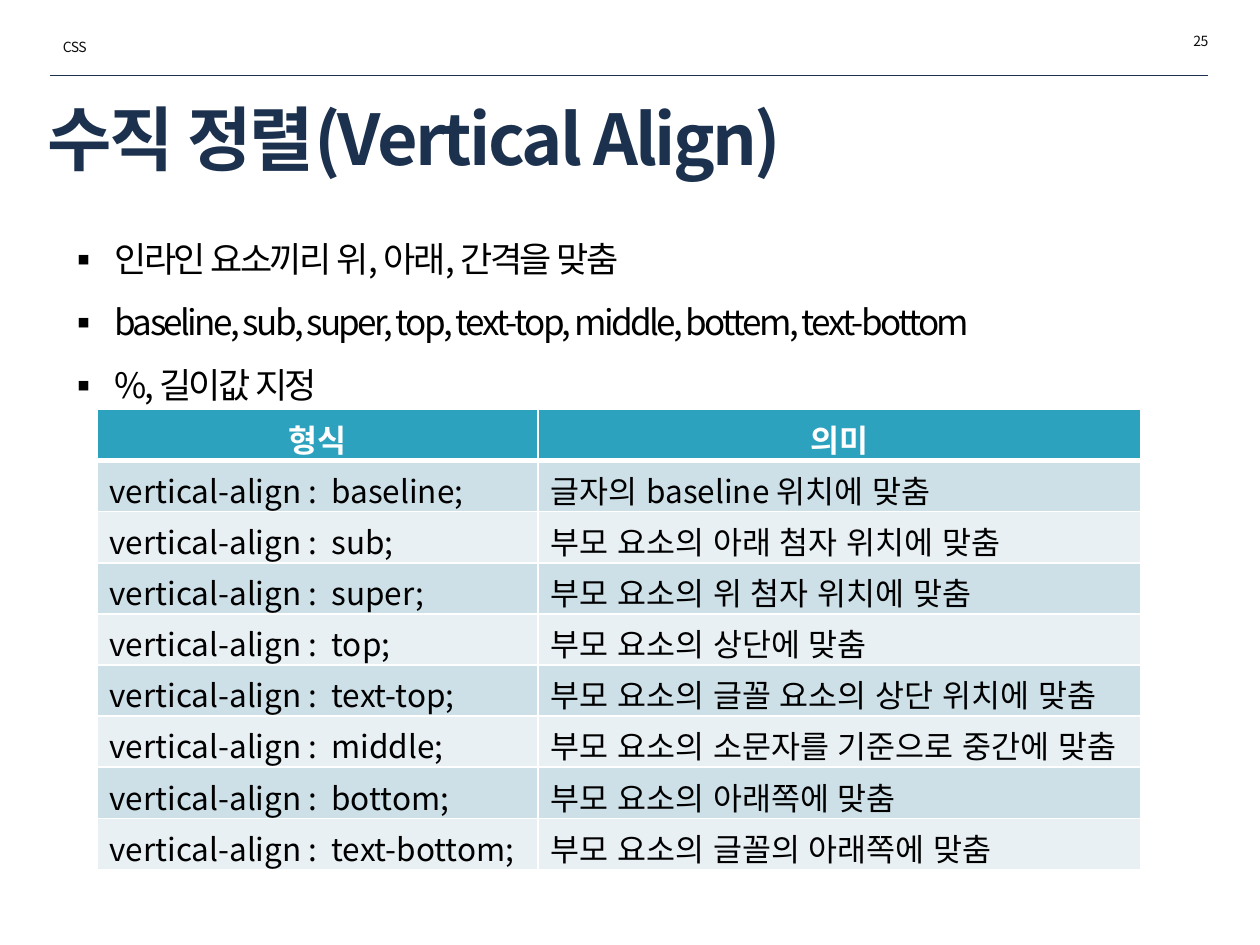
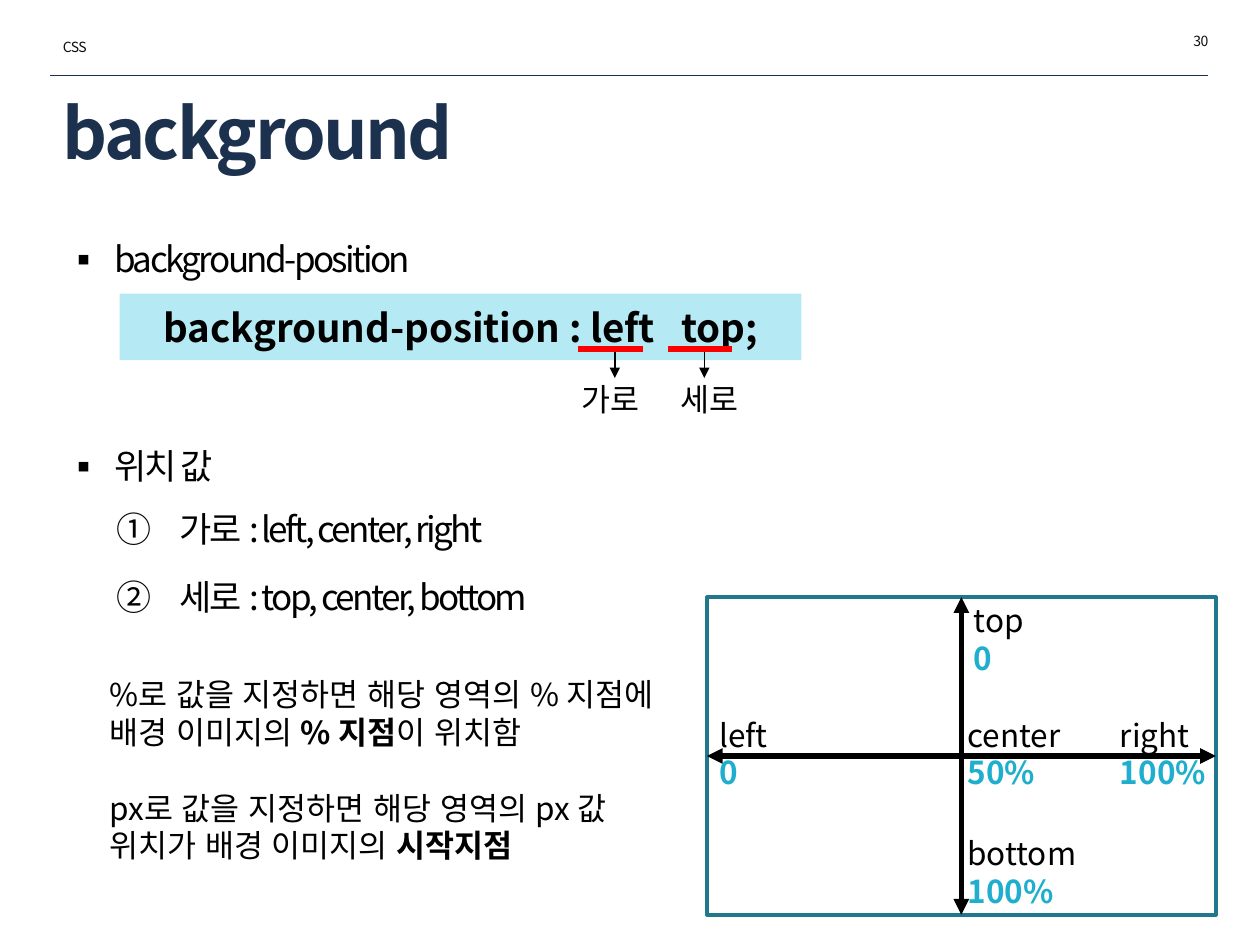
from dataclasses import dataclass
from itertools import product

from lxml.etree import SubElement
from pptx import Presentation
from pptx.dml.color import RGBColor
from pptx.enum.lang import MSO_LANGUAGE_ID as Language
from pptx.enum.shapes import MSO_CONNECTOR as Connector, MSO_SHAPE as Preset
from pptx.enum.text import MSO_ANCHOR as Anchor, PP_ALIGN as Align
from pptx.oxml import parse_xml
from pptx.oxml.ns import nsdecls, qn
from pptx.util import Inches, Pt

COLORS = {
    "navy": "1C314E", "ink": "0D0D0D", "black": "000000", "white": "FFFFFF",
    "header": "2DA2BF", "band_dark": "CDE0E8", "band_light": "E8F0F4",
    "code": "B5E9F4", "red": "FF0000", "frame": "21788D", "value": "1FAECD",
}
FONT = "Noto Sans CJK KR"

# The slide is a grid of 100 columns by 75 rows
COLUMNS, ROWS = 100, 75
WIDTH, HEIGHT = Inches(10), Inches(7.5)


@dataclass(frozen=True)
class Box:
    column: float
    row: float
    columns: float
    rows: float

    def lengths(self) -> tuple:
        return (x_at(self.column), y_at(self.row), x_at(self.columns), y_at(self.rows))


@dataclass(frozen=True)
class Style:
    size: float = 18
    color: str = "black"
    bold: bool = False
    tracking: int = 0  # hundredths of a point


@dataclass(frozen=True)
class Piece:
    text: str
    style: Style = Style()


@dataclass(frozen=True)
class Line:
    start: tuple
    end: tuple
    color: str = "black"
    width: float = 3
    arrows: tuple = ()


@dataclass(frozen=True)
class AxisLabel:
    name: str
    value: str
    box: Box


TITLE = Style(40, "navy", True, -150)
SMALL = Style(8, "ink", tracking=-30)
BULLET = Style(20, tracking=-150)
BODY = Style()
STRONG = Style(bold=True)
CODE = Style(22, bold=True)
VALUE = Style(color="value", bold=True)
TABLE_HEADER = Style(color="white", bold=True)


def x_at(columns: float) -> int:
    return round(WIDTH * columns / COLUMNS)


def y_at(rows: float) -> int:
    return round(HEIGHT * rows / ROWS)


def rgb(name: str) -> RGBColor:
    return RGBColor.from_string(COLORS[name])


# Text
def add_piece(paragraph, piece: Piece) -> None:
    run = paragraph.add_run()
    run.text = piece.text
    style, font = piece.style, run.font
    font.size, font.bold, font.name = Pt(style.size), style.bold, FONT
    font.color.rgb = rgb(style.color)
    font.language_id = Language.KOREAN
    properties = run._r.get_or_add_rPr()
    SubElement(properties, qn("a:ea")).set("typeface", FONT)
    if style.tracking:
        properties.set("spc", str(style.tracking))


def fill_text(frame, paragraphs: list, align=Align.LEFT, anchor=Anchor.TOP) -> None:
    frame.word_wrap = True
    frame.vertical_anchor = anchor
    for index, pieces in enumerate(paragraphs):
        paragraph = frame.add_paragraph() if index else frame.paragraphs[0]
        paragraph.alignment = align
        for piece in pieces:
            add_piece(paragraph, piece)


def add_text(shapes, box: Box, paragraphs: list, **layout):
    frame = shapes.add_textbox(*box.lengths()).text_frame
    fill_text(frame, paragraphs, **layout)
    return frame


def mark_item(paragraph, numbered: bool) -> None:
    paragraph.line_spacing = 1.5
    if numbered:
        paragraph.level = 1
        paragraph.space_after = Pt(3)
    margin, indent = (0.93, -0.5) if numbered else (0.41, -0.38)
    properties = paragraph._p.get_or_add_pPr()
    properties.set("marL", str(Inches(margin)))
    properties.set("indent", str(Inches(indent)))
    color = SubElement(properties, qn("a:buClr"))
    SubElement(color, qn("a:srgbClr")).set("val", COLORS["black"])
    if numbered:
        SubElement(properties, qn("a:buAutoNum")).set("type", "circleNumDbPlain")
    else:
        SubElement(properties, qn("a:buFont")).set("typeface", FONT)
        SubElement(properties, qn("a:buChar")).set("char", "▪")


def add_list(slide, row: float, rows: float, bullets: list, numbers: tuple = ()) -> None:
    items = [[Piece(text, BULLET)] for text in (*bullets, *numbers)]
    frame = add_text(slide.shapes, Box(4, row, 91.9, rows), items)
    for index, paragraph in enumerate(frame.paragraphs):
        mark_item(paragraph, index >= len(bullets))


# Lines and shapes
def add_line(shapes, line: Line) -> None:
    (x1, y1), (x2, y2) = line.start, line.end
    connector = shapes.add_connector(
        Connector.STRAIGHT, x_at(x1), y_at(y1), x_at(x2), y_at(y2))
    connector.line.color.rgb = rgb(line.color)
    connector.line.width = Pt(line.width)
    properties = connector.element.spPr
    for end in line.arrows:
        SubElement(properties.find(qn("a:ln")), qn(f"a:{end}")).set("type", "triangle")
    SubElement(properties, qn("a:effectLst"))


def add_rectangle(shapes, box: Box, fill: str = "", outline: str = ""):
    shape = shapes.add_shape(Preset.RECTANGLE, *box.lengths())
    shape.shadow.inherit = False
    if fill:
        shape.fill.solid()
        shape.fill.fore_color.rgb = rgb(fill)
    else:
        shape.fill.background()
    if outline:
        shape.line.color.rgb = rgb(outline)
        shape.line.width = Pt(2)
    else:
        shape.line.fill.background()
    return shape


# Table
def style_cell(cell, fill: str, top: float, bottom: float) -> None:
    cell.fill.solid()
    cell.fill.fore_color.rgb = rgb(fill)
    properties = cell._tc.get_or_add_tcPr()
    widths = {"lnL": 1, "lnR": 1, "lnT": top, "lnB": bottom}
    for index, (side, width) in enumerate(widths.items()):
        properties.insert(index, parse_xml(
            f'<a:{side} {nsdecls("a")} w="{Pt(width)}"><a:solidFill>'
            f'<a:srgbClr val="{COLORS["white"]}"/></a:solidFill></a:{side}>'))


def add_meaning_table(slide, box: Box, widths: tuple, rows: list) -> None:
    table = slide.shapes.add_table(len(rows), len(widths), *box.lengths()).table
    for column, width in zip(table.columns, widths):
        column.width = x_at(width)
    for row in table.rows:
        row.height = y_at(box.rows / len(rows))
    for row, column in product(range(len(rows)), range(len(widths))):
        cell, header = table.cell(row, column), row == 0
        fill = "header" if header else "band_dark" if row % 2 else "band_light"
        style_cell(cell, fill, top=3 if row == 1 else 1, bottom=3 if header else 1)
        fill_text(cell.text_frame,
                  [[Piece(rows[row][column], TABLE_HEADER if header else BODY)]],
                  align=Align.CENTER if header else Align.LEFT)


# Shared page furniture
def add_page(presentation, title: str, title_box: Box, number: int):
    slide = presentation.slides.add_slide(presentation.slide_layouts[6])
    add_line(slide.shapes, Line((4, 6), (95.9, 6), "navy", 0.25))
    add_text(slide.shapes, title_box, [[Piece(title, TITLE)]], anchor=Anchor.MIDDLE)
    add_text(slide.shapes, Box(79.6, 2.1, 17.3, 2.4), [[Piece(str(number), SMALL)]],
             align=Align.RIGHT)
    add_text(slide.shapes, Box(4, 2.6, 17.3, 2.4), [[Piece("CSS", SMALL)]])
    return slide


def build_vertical_align(presentation) -> None:
    slide = add_page(presentation, "수직 정렬(Vertical Align)", Box(2.8, 7.7, 92.6, 6.4), 25)
    add_list(slide, 16.7, 18.5, [
        "인라인 요소끼리 위, 아래, 간격을 맞춤",
        "baseline, sub, super, top, text-top, middle, bottem, text-bottom",
        "%, 길이값 지정",
    ])
    meanings = {
        "baseline": "글자의 baseline 위치에 맞춤",
        "sub": "부모 요소의 아래 첨자 위치에 맞춤",
        "super": "부모 요소의 위 첨자 위치에 맞춤",
        "top": "부모 요소의 상단에 맞춤",
        "text-top": "부모 요소의 글꼴 요소의 상단 위치에 맞춤",
        "middle": "부모 요소의 소문자를 기준으로 중간에 맞춤",
        "bottom": "부모 요소의 아래쪽에 맞춤",
        "text-bottom": "부모 요소의 글꼴의 아래쪽에 맞춤",
    }
    rows = [(f"vertical-align :  {value};", text) for value, text in meanings.items()]
    add_meaning_table(slide, Box(7.7, 32.5, 82.8, 36.5), (35, 47.8),
                      [("형식", "의미"), *rows])


def add_position_diagram(slide, frame: Box) -> None:
    shapes = slide.shapes.add_group_shape().shapes
    add_rectangle(shapes, frame, outline="frame")
    right, bottom = frame.column + frame.columns, frame.row + frame.rows
    center, middle = frame.column + frame.columns / 2, frame.row + frame.rows / 2
    both = ("headEnd", "tailEnd")
    add_line(shapes, Line((center, frame.row), (center, bottom), arrows=both))
    add_line(shapes, Line((frame.column, middle), (right, middle), arrows=both))
    label_row = 56.3
    labels = [
        AxisLabel("top", "0", Box(76.3, 47.2, 8, 7.1)),
        AxisLabel("right", "100%", Box(87.9, label_row, 9, 7.1)),
        AxisLabel("left", "0", Box(frame.column, label_row, 9, 7.1)),
        AxisLabel("center", "50%", Box(75.8, label_row, 9.8, 7.1)),
        AxisLabel("bottom", "100%", Box(75.8, 65.7, 12.1, 7.1)),
    ]
    for label in labels:
        add_text(shapes, label.box, [[Piece(label.name)], [Piece(label.value, VALUE)]])


def build_background(presentation) -> None:
    slide = add_page(presentation, "background", Box(4, 7.2, 91.5, 6.4), 30)

    # Declaration with its two values pointed out
    declaration = add_rectangle(slide.shapes, Box(9.5, 23.3, 54.1, 5.3), fill="code")
    fill_text(declaration.text_frame,
              [[Piece("background-position : left   top;", CODE)]],
              align=Align.CENTER, anchor=Anchor.MIDDLE)
    for name, label_left, underline, arrow in (("가로", 45.2, 45.9, 48.8),
                                               ("세로", 53, 53, 55.9)):
        add_text(slide.shapes, Box(label_left, 29.7, 7.7, 4), [[Piece(name)]])
        add_line(slide.shapes, Line((arrow, 27.7), (arrow, 30), width=0.75,
                                    arrows=("tailEnd",)))
        add_line(slide.shapes, Line((underline, 27.7), (underline + 5.1, 27.7), "red"))

    add_list(slide, 16.7, 6.1, ["background-position"])
    add_list(slide, 33.1, 18.1, ["위치 값"],
             ("가로 : left, center, right", "세로 : top, center, bottom"))
    add_position_diagram(slide, Box(56.1, 47.4, 40.4, 25.2))

    # Units
    units = add_text(slide.shapes, Box(7.7, 53.1, 47.3, 16.2), [
        [Piece("%로 값을 지정하면 해당 영역의 % 지점에 배경 이미지의 "),
         Piece("% 지점", STRONG), Piece("이 위치함")],
        [Piece("px로 값을 지정하면 해당 영역의 px 값 위치가 배경 이미지의 "),
         Piece("시작지점", STRONG)],
    ])
    units.paragraphs[1].space_before = Pt(21.6)


def main() -> None:
    presentation = Presentation()
    presentation.slide_width, presentation.slide_height = WIDTH, HEIGHT
    build_vertical_align(presentation)
    build_background(presentation)
    presentation.save("out.pptx")


if __name__ == "__main__":
    main()
